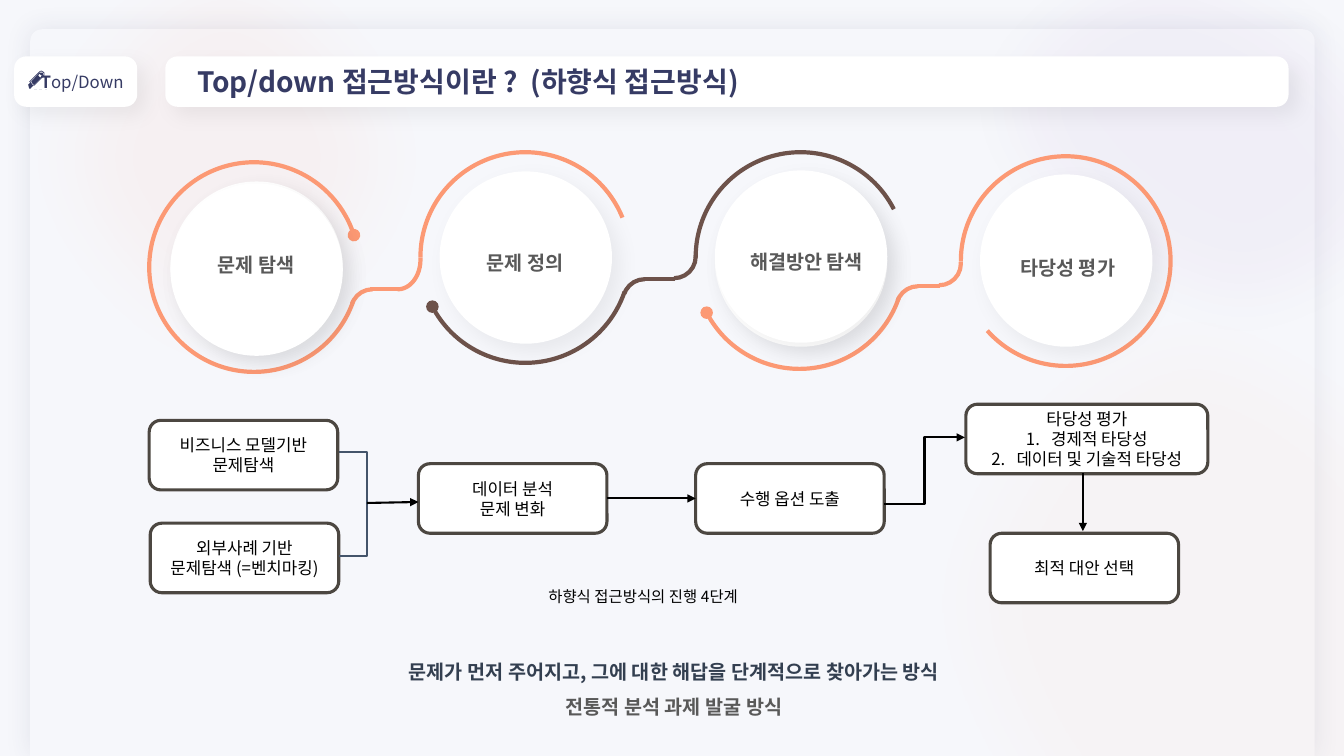
from lxml import etree
from pptx import Presentation
from pptx import util as u
from pptx.dml.color import RGBColor
from pptx.enum import shapes, text
from pptx.oxml import ns

FONT = "Noto Sans CJK KR"
COLORS = {"page": "F6F7FB", "white": "FFFFFF", "black": "000000", "navy": "363B64",
          "orange": "FC9974", "coral": "FD9374", "purple": "7030A0", "brown": "6D524A",
          "grey": "595959", "slate": "333F50", "bracket": "44546A", "frame": "4C4741"}
G = shapes.MSO_SHAPE
CENTER, LEFT, RIGHT = text.PP_ALIGN.CENTER, text.PP_ALIGN.LEFT, text.PP_ALIGN.RIGHT

# Content
LABEL = ("T", "op/Down")
TITLE = "Top/down 접근방식이란 ?  (하향식 접근방식)"
CAPTION = "하향식 접근방식의 진행 4단계"
SUMMARY = [("문제가 먼저 주어지고, 그에 대한 해답을 단계적으로 찾아가는 방식", "slate"),
           ("전통적 분석 과제 발굴 방식", "grey")]
# Stage name, its left and top, then the left and top of each of its discs
STAGES = [("문제 탐색", (1.8, 2.34), [(1.69, 1.8), (1.69, 1.82)]),
          ("문제 정의", (4.47, 2.32), [(4.36, 1.7)]),
          ("해결방안 탐색", (7.26, 2.31), [(7.09, 1.73), (7.09, 1.69)]),
          ("타당성 평가", (9.85, 2.37), [(9.72, 1.73)])]
# Process box: left, top, width, lines, numbered lines
BOXES = {
    "model": (1.48, 4.17, 1.87, ["비즈니스 모델기반", "문제탐색"], []),
    "cases": (1.49, 5.19, 1.87, ["외부사례 기반", "문제탐색 (=벤치마킹)"], []),
    "analysis": (4.15, 4.6, 1.87, ["데이터 분석", "문제 변화"], []),
    "options": (6.9, 4.6, 1.87, ["수행 옵션 도출"], []),
    "validity": (9.58, 4.01, 2.4, ["타당성 평가"], ["경제적 타당성", "데이터 및 기술적 타당성"]),
    "choice": (9.82, 5.29, 1.87, ["최적 대안 선택"], [])}
# Soft background glows: place, rotation, colour, opacity in percent
GLOWS = [((0, -0.9, 4.5, 4.91), 0, "coral", 7),
         ((9.7, -1.43, 4.5, 5.63), 291.5, "purple", 4),
         ((9.01, 2.69, 6.26, 7.27), 339.8, "orange", 4)]
# Ring arcs: left, top, start and end adjustment, colour, dot at the end
RINGS = [(1.48, 1.61, 11.31, 205.36, "orange", True),
         (4.17, 1.51, 107.81, 202.75, "orange", False),
         (4.17, 1.52, 11.31, 91.42, "brown", True),
         (6.9, 1.51, 107.81, 199.73, "brown", False),
         (9.53, 1.55, 107.81, 83.05, "orange", False),
         (6.89, 1.58, 11.31, 91.42, "orange", True)]
# Links between rings: lower bend, upper bend, joining line (x1, x2, y), colour
LINKS = [((3.48, 2.87, 0.43, 0.43), (3.72, 2.28, 0.45, 0.59), (3.96, 3.67, 2.87), "orange"),
         ((6.18, 2.77, 0.43, 0.43), (6.47, 2.33, 0.43, 0.43), (6.69, 6.39, 2.77), "brown"),
         ((8.89, 2.84, 0.43, 0.43), (9.1, 2.4, 0.43, 0.43), (9.32, 9.1, 2.84), "orange")]
# Pencil contours in hundredths of an inch
PENCIL = [[[(29, 88), (31, 88), (30, 88), (33, 85), (34, 85), (43, 76), (44, 75), (44, 72),
            (43, 71), (41, 70), (39, 71), (29, 81), (30, 82), (28, 84)],
           [(39, 72), (40, 71), (42, 71), (43, 72), (44, 73), (43, 75), (33, 85), (30, 81)]],
          [[(33, 84), (34, 84), (42, 76), (43, 74), (43, 72), (41, 72), (39, 72), (31, 81)],
           [(39, 73), (40, 74), (42, 75), (40, 77), (38, 75)]]]
DASHES = [(34, 37), (39, 42), (45, 47)]

prs = Presentation()
prs.slide_width, prs.slide_height = u.Inches(13.33), u.Inches(7.5)
slide = prs.slides.add_slide(prs.slide_layouts[6])


def rgb(name):
    return RGBColor.from_string(COLORS[name])


def child(parent, tag, **attrs):
    return etree.SubElement(parent, ns.qn(tag), {k: str(v) for k, v in attrs.items()})


def set_all(target, values):
    for name, value in values.items():
        setattr(target, name, value)


def paint(shape, fill=None, line=None, width=0):
    shape.shadow.inherit = False
    if fill:
        shape.fill.solid()
        shape.fill.fore_color.rgb = rgb(fill)
    else:
        shape.fill.background()
    if line:
        shape.line.color.rgb = rgb(line)
        shape.line.width = u.Pt(width)
    else:
        shape.line.fill.background()


def draw(kind, place, fill=None, line=None, width=0, adj=(), rotation=0):
    shape = slide.shapes.add_shape(kind, *map(u.Inches, place))
    paint(shape, fill, line, width)
    for i, value in enumerate(adj):
        shape.adjustments[i] = value
    shape.rotation = rotation
    return shape


def effects(shape):
    return shape._element.spPr.find(ns.qn("a:effectLst"))


def cast(shape, color="black", alpha=5, blur=15, dist=8, angle=45):
    shadow = child(effects(shape), "a:outerShdw", blurRad=u.Pt(blur), dist=u.Pt(dist),
                   dir=angle * 60000, rotWithShape=0)
    tint = child(shadow, "a:srgbClr", val=COLORS[color])
    child(tint, "a:alpha", val=alpha * 1000)


def end_mark(line_shape, kind):
    child(line_shape.line._get_or_add_ln(), "a:tailEnd", type=kind)


def connect(start, end, color, width, arrow=True, kind=shapes.MSO_CONNECTOR.STRAIGHT):
    line = slide.shapes.add_connector(kind, *map(u.Inches, start + end))
    line.line.color.rgb = rgb(color)
    line.line.width = u.Pt(width)
    if arrow:
        end_mark(line, "triangle")
    child(line._element.spPr, "a:effectLst")
    return line


def write(shape, paragraphs, size, align, spacing=None, **frame):
    """Each paragraph is a list of (words, colour, bold) runs."""
    set_all(shape.text_frame, {"word_wrap": True, **frame})
    for i, runs in enumerate(paragraphs):
        par = shape.text_frame.paragraphs[0] if i == 0 else shape.text_frame.add_paragraph()
        set_all(par, {"alignment": align, "line_spacing": spacing})
        for words, color, bold in runs:
            run = par.add_run()
            run.text = words
            set_all(run.font, {"name": FONT, "size": u.Pt(size), "bold": bold})
            run.font.color.rgb = rgb(color)
            child(run._r.get_or_add_rPr(), "a:ea", typeface=FONT)


def text_box(place, *args):
    box = slide.shapes.add_textbox(*map(u.Inches, place))
    write(box, *args, auto_size=text.MSO_AUTO_SIZE.SHAPE_TO_FIT_TEXT)


def outline(contours):
    builder = None
    for contour in contours:
        if builder is None:
            builder = slide.shapes.build_freeform(*contour[0], scale=u.Inches(0.01))
        else:
            builder.move_to(*contour[0])
        builder.add_line_segments(contour[1:], close=True)
    paint(builder.convert_to_shape(), "navy")


# Background panel and glows
slide.background.fill.solid()
slide.background.fill.fore_color.rgb = rgb("page")
panel = draw(G.ROUND_2_SAME_RECTANGLE, (0.3, 0.29, 12.74, 7.21), "page", adj=(0.016, 0))
cast(panel, "navy", 10, 18, 0, 0)
for place, turn, color, opacity in GLOWS:
    glow = draw(G.OVAL, place, color, rotation=turn)
    child(glow._element.spPr.find(".//" + ns.qn("a:srgbClr")), "a:alpha", val=opacity * 1000)
    child(effects(glow), "a:softEdge", rad=u.Pt(50))

# Label, title and pencil
label = draw(G.ROUNDED_RECTANGLE, (0.14, 0.56, 1.22, 0.5), "white", adj=(0.24,))
title = draw(G.ROUNDED_RECTANGLE, (1.64, 0.56, 11.14, 0.5), "white", adj=(0.24,))
for bar in (label, title):
    cast(bar)
write(label, [[(LABEL[0], "navy", True), (LABEL[1], "navy", False)]], 12, RIGHT)
write(title, [[(TITLE, "navy", True)]], 20, LEFT, margin_left=u.Inches(0.28))
for contours in PENCIL:
    outline(contours)
for x1, x2 in DASHES:
    outline([[(x1, 88), (x2, 88), (x2, 88.4), (x1, 88.4)]])

# Rings and the links between them
for left, top, start, end, color, dot in RINGS:
    ring = draw(G.ARC, (left, top, 2.08, 2.08), line=color, width=3, adj=(start, end))
    if dot:
        end_mark(ring, "oval")
for lower, upper, (x1, x2, y), color in LINKS:
    draw(G.ARC, lower, line=color, width=3, adj=(119.65, 162.32))
    draw(G.ARC, upper, line=color, width=3, adj=(105.54, 162.32), rotation=180)
    connect((x1, y), (x2, y), color, 3, arrow=False)

# Stage discs and names
for stage, spot, discs in STAGES:
    for disc in discs:
        cast(draw(G.OVAL, disc + (1.71, 1.71), "white"))
    text_box(spot + (1.48, 0.41), [[(stage, "grey", True)]], 14, CENTER, 1.5)

# Summary and caption
text_box((2.84, 6.38, 7.69, 0.76), [[(words, color, True)] for words, color in SUMMARY],
         14, CENTER, 1.5)
text_box((5.34, 5.78, 2.33, 0.29), [[(CAPTION, "black", False)]], 11, LEFT)

# Process boxes
box_shapes = {}
for key, (left, top, width, lines, numbered) in BOXES.items():
    box = draw(G.ROUNDED_RECTANGLE, (left, top, width, 0.69), "white", "frame", 2.25)
    write(box, [[(line, "black", False)] for line in lines + numbered], 12, CENTER)
    for par in box.text_frame.paragraphs[len(lines):]:
        props = par._p.get_or_add_pPr()
        props.set("marL", str(u.Inches(0.25)))
        props.set("indent", str(-u.Inches(0.25)))
        child(props, "a:buFont", typeface="+mj-lt")
        child(props, "a:buAutoNum", type="arabicPeriod")
    box_shapes[key] = box

# Process flow
draw(G.LEFT_BRACKET, (3.36, 4.48, 0.28, 1.04), line="bracket", width=1.5, adj=(0,), rotation=180)
connect((3.64, 4.99), (4.15, 4.98), "black", 1.5)
to_options = connect((6.02, 4.95), (6.9, 4.95), "black", 1.5)
to_options.begin_connect(box_shapes["analysis"], 3)
to_options.end_connect(box_shapes["options"], 1)
connect((8.77, 5), (9.57, 4.34), "black", 1.5, kind=shapes.MSO_CONNECTOR.ELBOW)
connect((10.74, 4.69), (10.74, 5.27), "black", 1.5)

prs.save("out.pptx")
